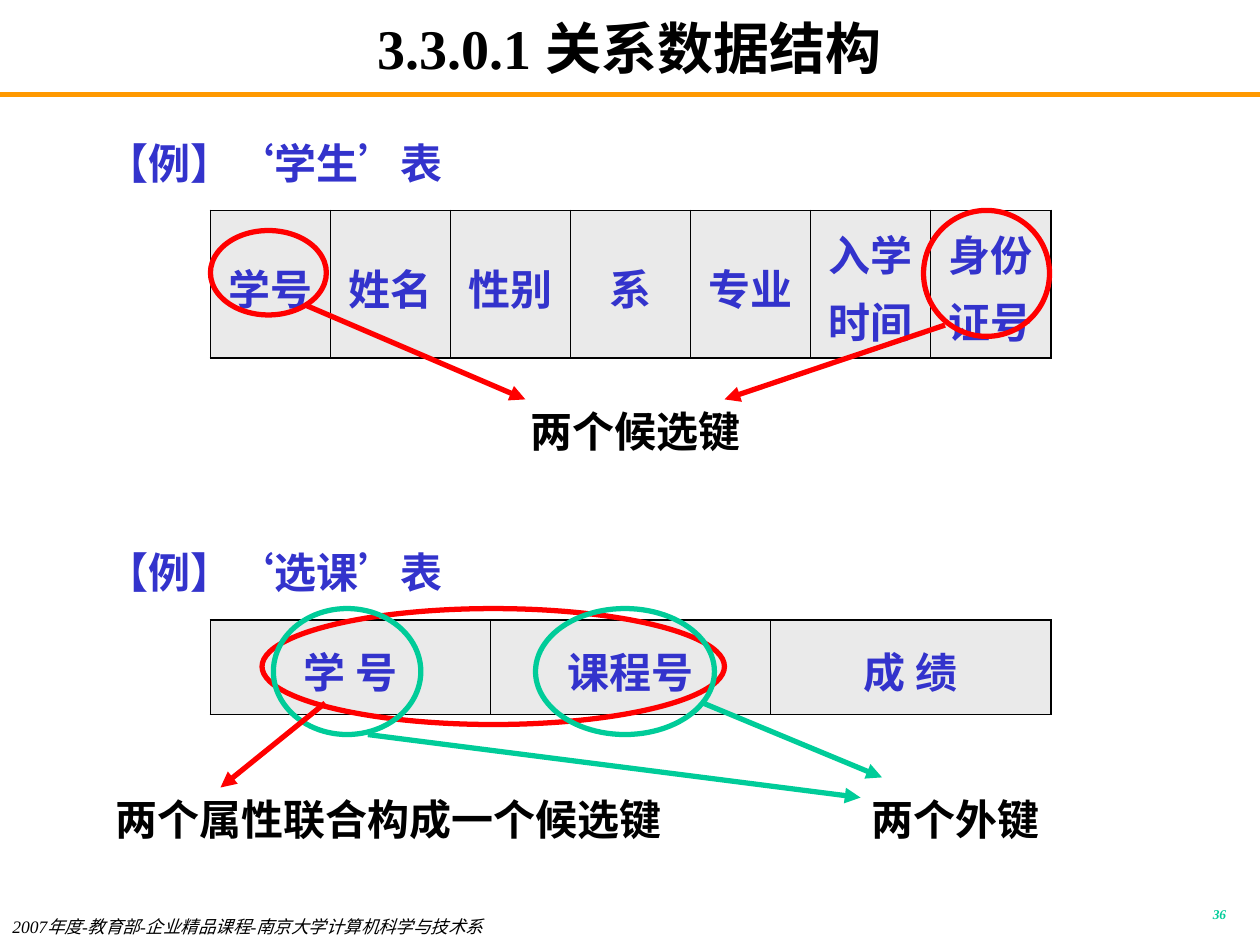
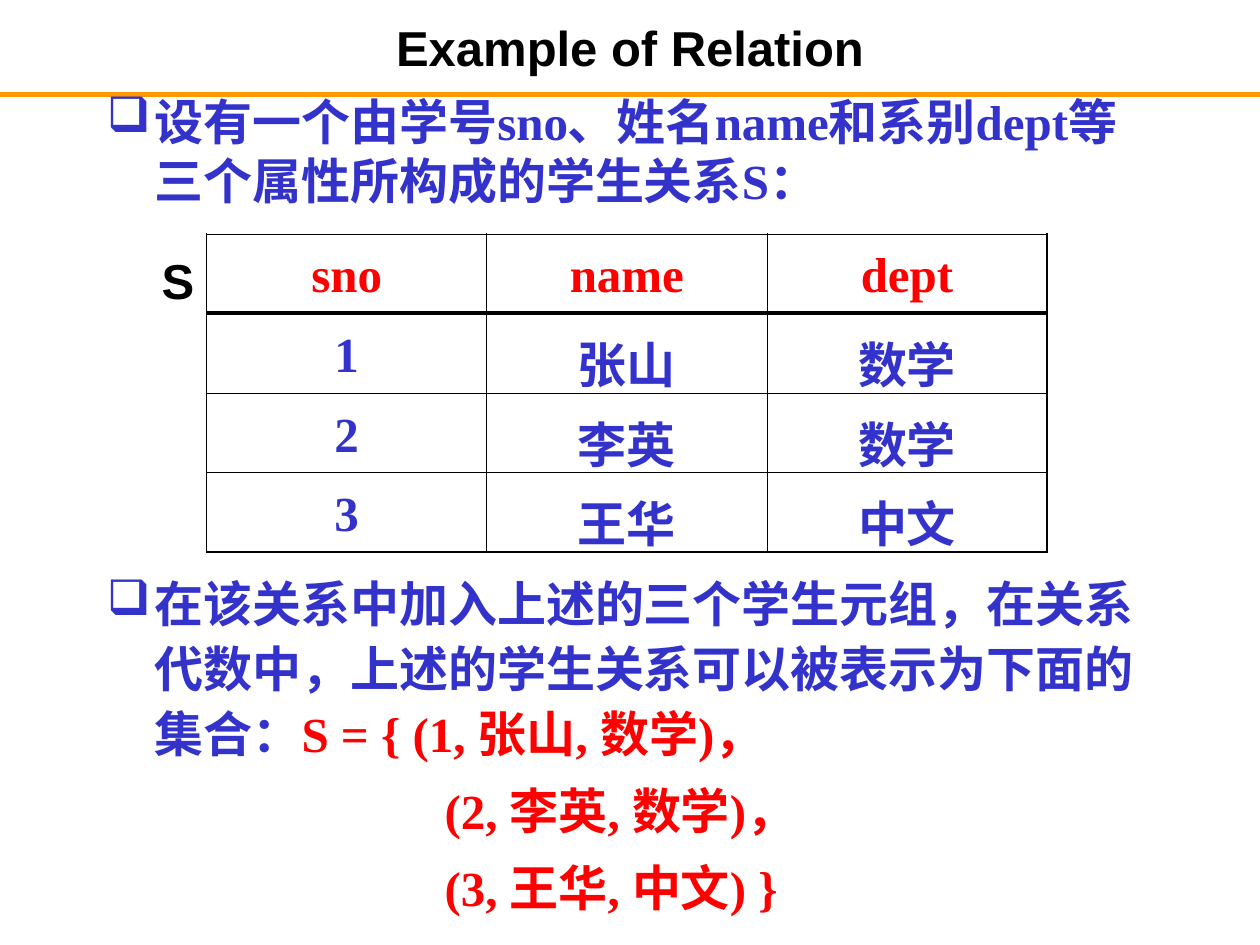
import pptx
import pptx.util
import pptx.dml.color
import pptx.enum.shapes
import pptx.enum.text
import pptx.oxml.ns
from dataclasses import dataclass
from lxml import etree

Inches = pptx.util.Inches
Pt = pptx.util.Pt
qn = pptx.oxml.ns.qn
ALIGN = pptx.enum.text.PP_ALIGN
ANCHOR = pptx.enum.text.MSO_ANCHOR
SHAPE = pptx.enum.shapes.MSO_SHAPE


@dataclass(frozen=True)
class Theme:
    black: str = "000000"
    blue: str = "3333CC"
    red: str = "FF0000"
    green: str = "00CC99"
    orange: str = "FF9900"
    cell_gray: str = "EAEAEA"
    white: str = "FFFFFF"
    serif: str = "Times New Roman"
    sans: str = "Arial"
    chinese: str = "Noto Sans CJK SC"
    title_size: float = 32
    large_size: float = 28
    medium_size: float = 24
    footer_size: float = 10
    number_size: float = 7.7
    line_width: float = 3
    outer_border: float = 1.08
    inner_border: float = 0.45


THEME = Theme()
TITLE_BOX = (0.75, 0.08, 8.5, 0.58)
HANGING = (0.38, -0.38)
TABLE_WIDTH = 6.67

FOOTER = "2007年度-教育部-企业精品课程-南京大学计算机科学与技术系"
PAGE_NUMBER = "36"

KEYS_TITLE = "3.3.0.1 关系数据结构"
EXAMPLES = [("【例】‘学生’表", 1), ("【例】‘选课’表", 4.25)]
STUDENT_COLUMNS = [["学号", "姓名", "性别", "系", "专业", "入学时间", "身份证号"]]
ENROLMENT_COLUMNS = [["学 号", "课程号", "成 绩"]]
KEY_RINGS = [
    ((1.67, 1.83, 0.92, 0.67), THEME.red),
    ((7.33, 1.67, 1, 1), THEME.red),
    ((2.08, 4.83, 3.67, 0.92), THEME.red),
    ((2.17, 4.83, 1.17, 1), THEME.green),
    ((4.25, 4.83, 1.42, 1), THEME.green),
]
KEY_ARROWS = [
    ((2.42, 2.42), (4.17, 3.17), THEME.red),
    ((7.5, 2.58), (5.75, 3.17), THEME.red),
    ((2.58, 5.58), (1.75, 6.25), THEME.red),
    ((2.92, 5.83), (6.83, 6.33), THEME.green),
    ((5.58, 5.58), (7, 6.17), THEME.green),
]
KEY_CAPTIONS = [
    ("两个候选键", (3, 3.17, 4.08, 0.5)),
    ("两个属性联合构成一个候选键", (0.67, 6.25, 4.83, 0.5)),
    ("两个外键", (6.58, 6.25, 2, 0.5)),
]

RELATION_TITLE = "Example of Relation"
RELATION_INTRO = "设有一个由学号sno、姓名name和系别dept等三个属性所构成的学生关系S："
RELATION_NAME = "S"
RELATION_HEADER = [["sno", "name", "dept"]]
RELATION_ROWS = [["1", "张山", "数学"], ["2", "李英", "数学"], ["3", "王华", "中文"]]
SET_INTRO = "在该关系中加入上述的三个学生元组，在关系代数中，上述的学生关系可以被表示为下面的集合："
SET_FIRST = "S = { (1, 张山, 数学)，"
SET_REST = ["(2, 李英, 数学)，", "(3, 王华, 中文) }"]


def rgb(color):
    return pptx.dml.color.RGBColor.from_string(color)


def add_run(paragraph, text, size, color=THEME.black, name=THEME.serif, bold=True, italic=False):
    run = paragraph.add_run()
    run.text = text
    font = run.font
    font.size, font.bold, font.italic = Pt(size), bold, italic
    font.color.rgb = rgb(color)
    font.name = name
    east_asian = etree.SubElement(run._r.get_or_add_rPr(), qn("a:ea"))
    east_asian.set("typeface", THEME.chinese)


def format_paragraph(paragraph, align=ALIGN.LEFT, spacing=1.0, before=0, indent=(0, 0), bullet=None):
    paragraph.alignment = align
    paragraph.line_spacing = spacing
    paragraph.space_before = Pt(before)
    properties = paragraph._p.get_or_add_pPr()
    properties.set("marL", str(Inches(indent[0])))
    properties.set("indent", str(Inches(indent[1])))
    if bullet:
        color = etree.SubElement(properties, qn("a:buClr"))
        etree.SubElement(color, qn("a:srgbClr")).set("val", THEME.blue)
        etree.SubElement(properties, qn("a:buChar")).set("char", bullet)


def add_frame(slide, box, anchor=ANCHOR.TOP):
    frame = slide.shapes.add_textbox(*map(Inches, box)).text_frame
    frame.word_wrap = True
    frame.vertical_anchor = anchor
    return frame


def add_text(slide, text, box, size, align=ALIGN.LEFT, anchor=ANCHOR.TOP,
             spacing=1.0, indent=(0, 0), bullet=None, **run_style):
    paragraph = add_frame(slide, box, anchor).paragraphs[0]
    format_paragraph(paragraph, align, spacing, indent=indent, bullet=bullet)
    add_run(paragraph, text, size, **run_style)


def add_line(slide, start, end, color, arrow=False):
    connector = slide.shapes.add_connector(
        pptx.enum.shapes.MSO_CONNECTOR.STRAIGHT, *map(Inches, start + end))
    connector.line.color.rgb = rgb(color)
    connector.line.width = Pt(THEME.line_width)
    if arrow:
        etree.SubElement(connector.line._get_or_add_ln(), qn("a:tailEnd")).set("type", "triangle")
    etree.SubElement(connector._element.spPr, qn("a:effectLst"))


def add_ring(slide, box, color):
    ring = slide.shapes.add_shape(SHAPE.OVAL, *map(Inches, box))
    ring.shadow.inherit = False
    ring.fill.background()
    ring.line.color.rgb = rgb(color)
    ring.line.width = Pt(THEME.line_width)


def set_borders(cell, outer_sides):
    properties = cell._tc.get_or_add_tcPr()
    for position, (side, outer) in enumerate(outer_sides.items()):
        width = THEME.outer_border if outer else THEME.inner_border
        border = etree.Element(qn(f"a:{side}"), w=str(Pt(width)))
        fill = etree.SubElement(border, qn("a:solidFill"))
        etree.SubElement(fill, qn("a:srgbClr")).set("val", THEME.black)
        properties.insert(position, border)


def add_grid(slide, rows, left, top, row_height, size, color, fill=None):
    row_count, column_count = len(rows), len(rows[0])
    table = slide.shapes.add_table(
        row_count, column_count, Inches(left), Inches(top),
        Inches(TABLE_WIDTH), Inches(row_height * row_count)).table
    table.first_row = table.horz_banding = False
    for row_index, row in enumerate(rows):
        for column_index, text in enumerate(row):
            cell = table.cell(row_index, column_index)
            cell.vertical_anchor = ANCHOR.MIDDLE
            if fill:
                cell.fill.solid()
                cell.fill.fore_color.rgb = rgb(fill)
            else:
                cell.fill.background()
            set_borders(cell, {
                "lnL": column_index == 0,
                "lnR": column_index == column_count - 1,
                "lnT": row_index == 0,
                "lnB": row_index == row_count - 1,
            })
            paragraph = cell.text_frame.paragraphs[0]
            format_paragraph(paragraph, ALIGN.CENTER, 1.1)
            add_run(paragraph, text, size, color)


def start_slide(presentation, title, size, name):
    slide = presentation.slides.add_slide(presentation.slide_layouts[6])
    add_line(slide, (0, 0.75), (10, 0.75), THEME.orange)
    add_text(slide, title, TITLE_BOX, size, ALIGN.CENTER, ANCHOR.MIDDLE, name=name)
    return slide


def build_keys_slide(presentation):
    slide = start_slide(presentation, KEYS_TITLE, THEME.title_size, THEME.serif)
    add_text(slide, FOOTER, (0, 7.22, 6.1, 0.28), THEME.footer_size, bold=False, italic=True)
    add_text(slide, PAGE_NUMBER, (7.75, 7.17, 2.08, 0.25), THEME.number_size, ALIGN.RIGHT,
             spacing=0.8, color=THEME.green, italic=True)
    for text, top in EXAMPLES:
        add_text(slide, text, (0.75, top, 8.5, 0.58), THEME.medium_size,
                 spacing=1.1, indent=HANGING, color=THEME.blue)
    for rows, top, height in [(STUDENT_COLUMNS, 1.67, 1.17), (ENROLMENT_COLUMNS, 4.92, 0.75)]:
        add_grid(slide, rows, 1.67, top, height, THEME.medium_size, THEME.blue, THEME.cell_gray)
    for box, color in KEY_RINGS:
        add_ring(slide, box, color)
    for start, end, color in KEY_ARROWS:
        add_line(slide, start, end, color, arrow=True)
    for text, box in KEY_CAPTIONS:
        add_text(slide, text, box, THEME.medium_size, ALIGN.CENTER)


def build_relation_slide(presentation):
    size = THEME.large_size
    slide = start_slide(presentation, RELATION_TITLE, size, THEME.sans)
    add_text(slide, RELATION_INTRO, (0.75, 0.68, 8.5, 1.1), size,
             indent=HANGING, bullet="❑", color=THEME.blue)
    add_grid(slide, RELATION_HEADER, 1.64, 1.86, 0.6, size, THEME.red)
    add_text(slide, RELATION_NAME, (1.09, 1.94, 0.55, 0.57), size, ALIGN.RIGHT, name=THEME.sans)
    add_grid(slide, RELATION_ROWS, 1.64, 2.49, 0.63, size, THEME.blue)

    panel = slide.shapes.add_shape(SHAPE.RECTANGLE, *map(Inches, (0.75, 4.46, 8.5, 3.04)))
    panel.shadow.inherit = False
    panel.fill.solid()
    panel.fill.fore_color.rgb = rgb(THEME.white)
    panel.line.fill.background()
    frame = panel.text_frame
    frame.word_wrap = True
    frame.vertical_anchor = ANCHOR.TOP
    paragraph = frame.paragraphs[0]
    format_paragraph(paragraph, spacing=1.1, indent=HANGING, bullet="❑")
    add_run(paragraph, SET_INTRO, size, THEME.blue)
    add_run(paragraph, SET_FIRST, size, THEME.red)
    for text in SET_REST:
        paragraph = frame.add_paragraph()
        format_paragraph(paragraph, spacing=1.1, before=7, indent=(2.68, 0))
        add_run(paragraph, text, size, THEME.red)


def main():
    presentation = pptx.Presentation()
    presentation.slide_width, presentation.slide_height = Inches(10), Inches(7.5)
    build_keys_slide(presentation)
    build_relation_slide(presentation)
    presentation.save("out.pptx")


if __name__ == "__main__":
    main()
